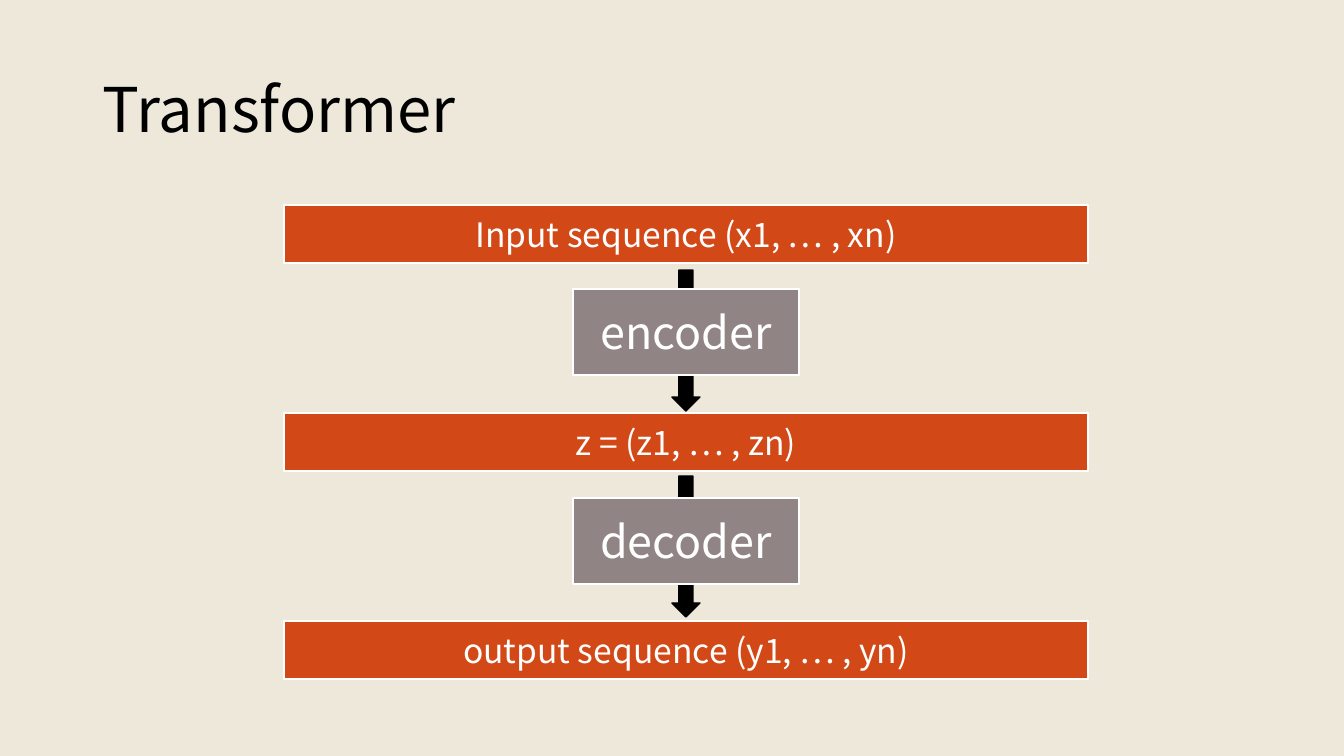
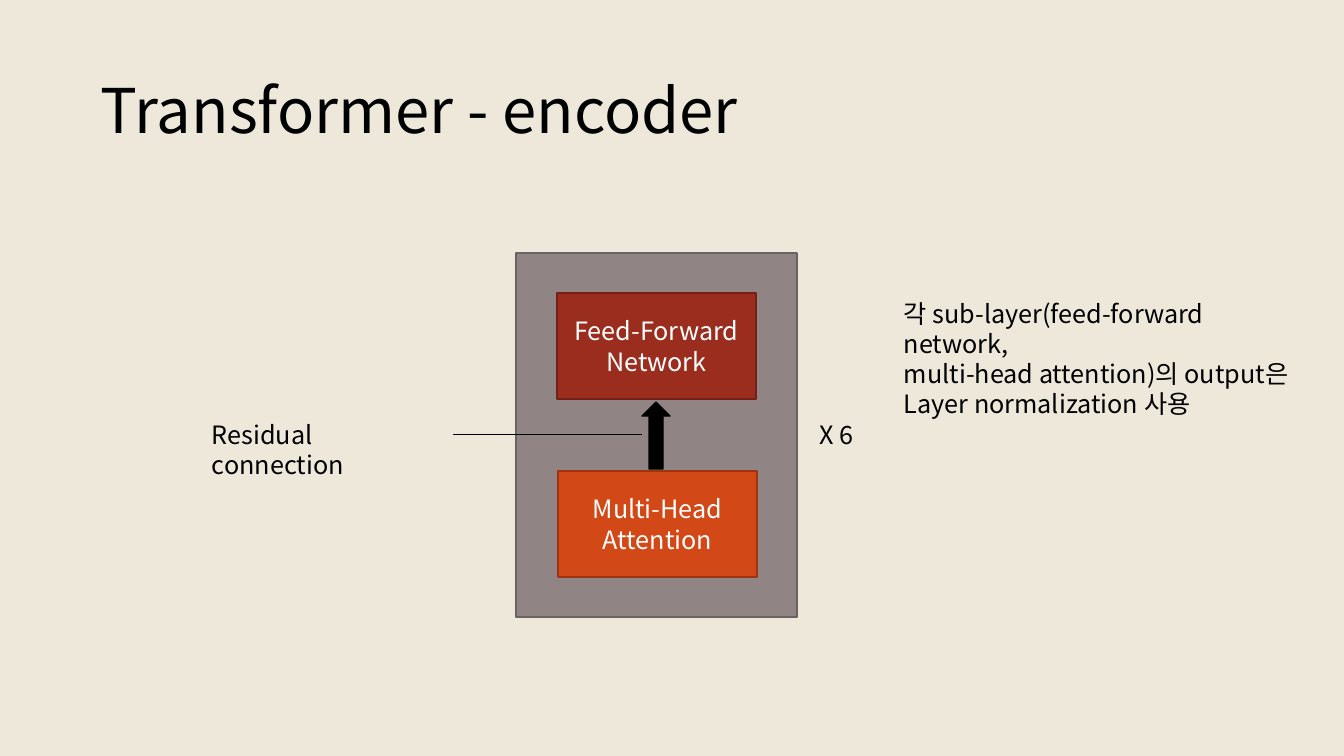
from lxml.etree import SubElement
from pptx import Presentation
from pptx.dml.color import RGBColor
from pptx.enum.shapes import MSO_CONNECTOR, MSO_SHAPE
from pptx.enum.text import MSO_ANCHOR, PP_ALIGN
from pptx.oxml.ns import qn
from pptx.util import Pt

FONT = "Noto Sans CJK KR"
SAND, INK, WHITE = "EEE8DA", "000000", "FFFFFF"
ORANGE, RED, GRAY = "D34817", "9B2D1F", "918485"
WIDE, HIGH = 1344, 756
PX = 12192000 / WIDE

BARS = ["Input sequence (x1, … , xn)", "z = (z1, … , zn)",
        "output sequence (y1, … , yn)"]
STEPS = ["encoder", "decoder"]
LAYERS = [
    ("Multi-Head\nAttention", 558, 471, ORANGE, "9C3511"),
    ("Feed-Forward\nNetwork", 557, 293, RED, "732117"),
]
NOTES = [
    ("X 6", (810, 414, 68, 40)),
    ("Residual connection", (202, 414, 251, 40)),
    ("각 sub-layer(feed-forward network,\nmulti-head attention)의 output은 \n"
     "Layer normalization 사용", (894, 293, 427, 102)),
]


def color(text):
    return RGBColor.from_string(text)


def scale(box):
    return [round(n * PX) for n in box]


def write(shape, text, size, ink=INK, align=PP_ALIGN.LEFT,
          anchor=MSO_ANCHOR.TOP, space=None):
    frame = shape.text_frame
    frame.text = text
    frame.word_wrap = True
    frame.vertical_anchor = anchor
    for para in frame.paragraphs:
        para.alignment = align
        para.line_spacing = space
        for run in para.runs:
            run.font.size = Pt(size)
            run.font.name = FONT
            run.font.color.rgb = color(ink)
            SubElement(run.font._element, qn("a:ea"), typeface=FONT)


def label(slide, text, box, size=18, **style):
    write(slide.shapes.add_textbox(*scale(box)), text, size, **style)


def block(slide, box, fill, edge, width=1, text="", size=18,
          kind=MSO_SHAPE.RECTANGLE):
    shape = slide.shapes.add_shape(kind, *scale(box))
    shape.shadow.inherit = False
    shape.fill.solid()
    shape.fill.fore_color.rgb = color(fill)
    shape.line.color.rgb = color(edge)
    shape.line.width = Pt(width)
    if text:
        write(shape, text, size, WHITE, PP_ALIGN.CENTER, MSO_ANCHOR.MIDDLE)
    return shape


def arrow(slide, box, turn=0):
    block(slide, box, INK, INK, kind=MSO_SHAPE.DOWN_ARROW).rotation = turn


def rule(slide, start, end):
    line = slide.shapes.add_connector(MSO_CONNECTOR.STRAIGHT,
                                      *scale(start + end))
    line.line.color.rgb = color(INK)
    line.line.width = Pt(0.5)
    SubElement(line._element.spPr, qn("a:effectLst"))


def page(deck, title, left, top):
    slide = deck.slides.add_slide(deck.slide_layouts[6])
    slide.background.fill.solid()
    slide.background.fill.fore_color.rgb = color(SAND)
    label(slide, title, (left, top, 1159, 146), 44,
          anchor=MSO_ANCHOR.MIDDLE, space=0.9)
    return slide


def flow(deck):
    slide = page(deck, "Transformer", 93, 40)
    mid = 686
    for i, text in enumerate(STEPS):
        arrow(slide, (mid - 14, 270 + 206 * i, 28, 141))
        block(slide, (mid - 113, 289 + 209 * i, 226, 86), GRAY, WHITE, 1.5,
              text, 32)
    for i, text in enumerate(BARS):
        block(slide, (mid - 402, 205 + 208 * i, 804, 58), ORANGE, WHITE, 1.5,
              text, 24)


def encoder(deck):
    slide = page(deck, "Transformer - encoder", 91, 41)
    block(slide, (516, 253, 281, 364), GRAY, "6B6262")
    for text, left, top, fill, edge in LAYERS:
        block(slide, (left, top, 199, 106), fill, edge, text=text)
    arrow(slide, (642, 402, 28, 67), 180)
    for text, box in NOTES:
        label(slide, text, box)
    rule(slide, (453, 434), (642, 434))


def main():
    """Build the two Transformer slides."""
    deck = Presentation()
    deck.slide_width, deck.slide_height = scale((WIDE, HIGH))
    flow(deck)
    encoder(deck)
    deck.save("out.pptx")


main()
